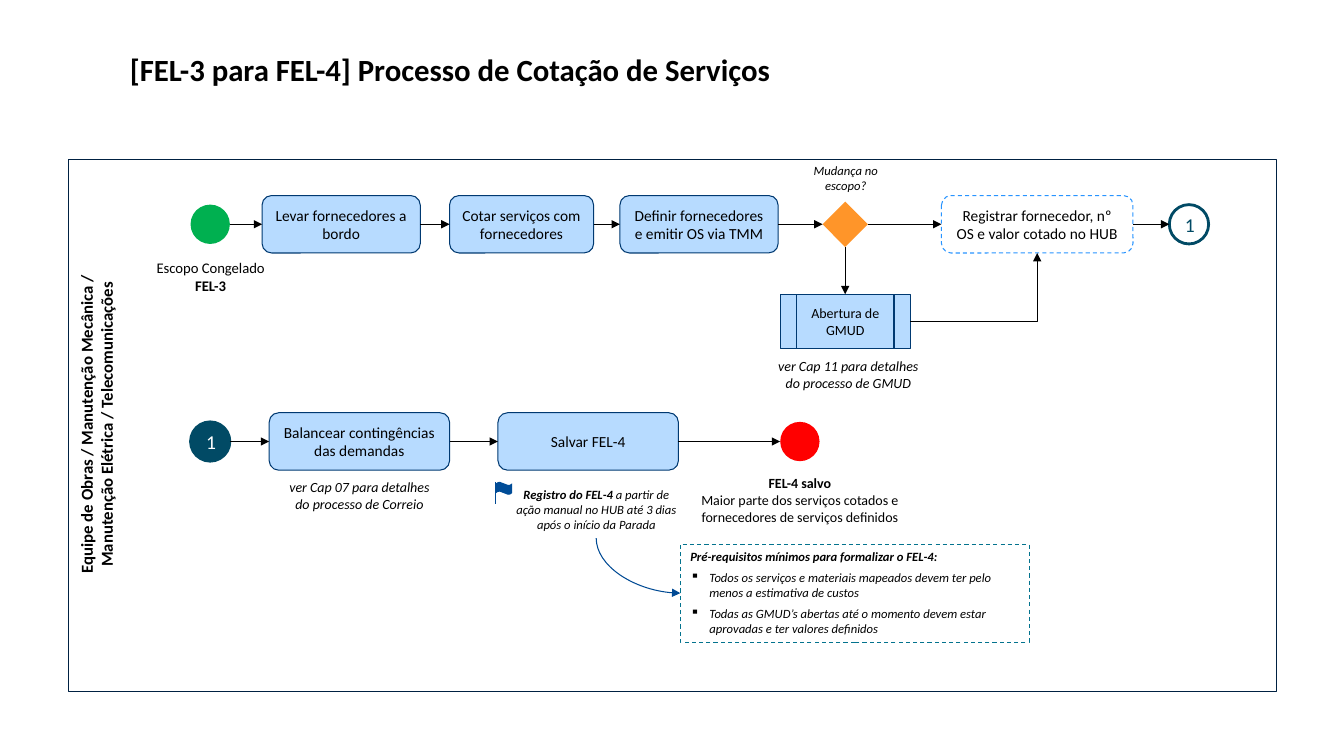
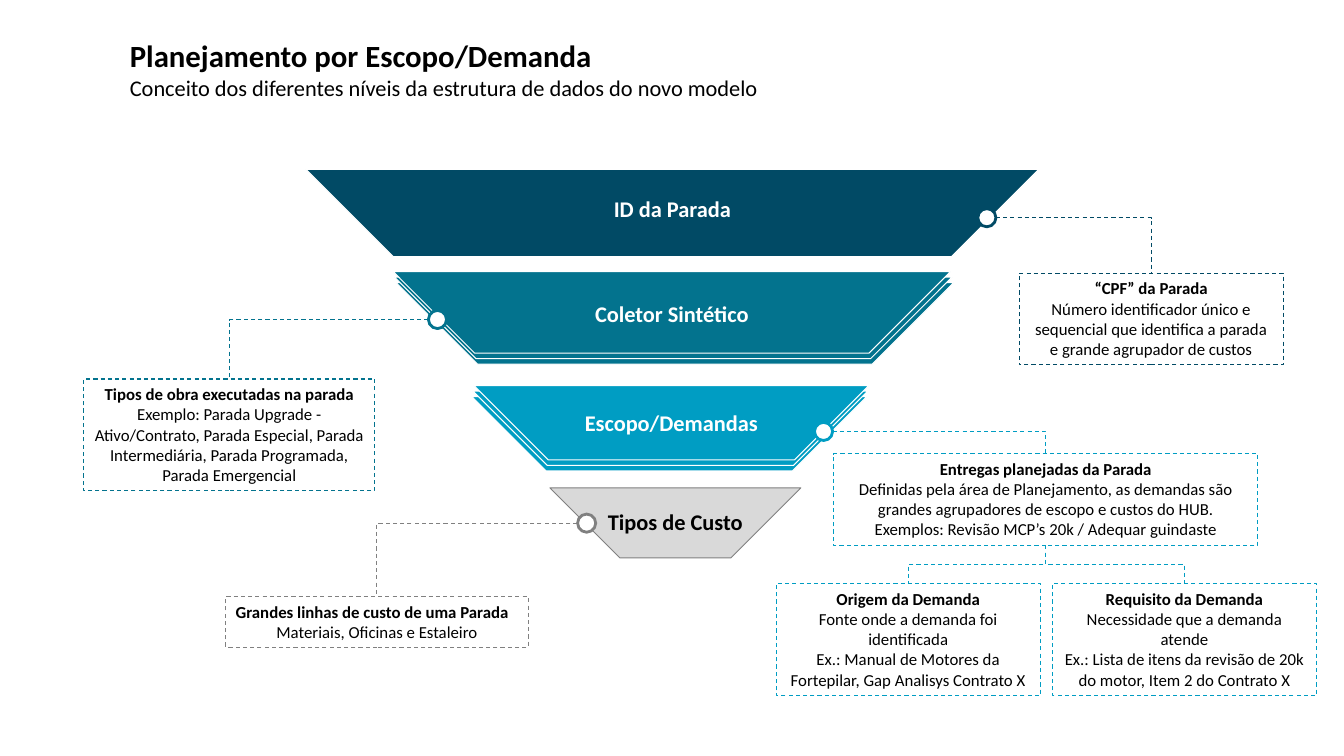
"""Builds two planning slides: a quotation process flow and a scope funnel."""
from dataclasses import dataclass

from lxml import etree
from pptx import Presentation
from pptx.dml.color import RGBColor
from pptx.enum.dml import MSO_LINE
from pptx.enum.shapes import MSO_CONNECTOR, MSO_SHAPE
from pptx.enum.text import MSO_ANCHOR, PP_ALIGN
from pptx.oxml.ns import qn
from pptx.util import Emu, Inches, Pt

RECT, ROUND, OVAL = MSO_SHAPE.RECTANGLE, MSO_SHAPE.ROUNDED_RECTANGLE, MSO_SHAPE.OVAL
DIAMOND, WAVE, STRIPE = MSO_SHAPE.DIAMOND, MSO_SHAPE.WAVE, MSO_SHAPE.DIAGONAL_STRIPE
SUBPROCESS = MSO_SHAPE.FLOWCHART_PREDEFINED_PROCESS
STRAIGHT, ELBOW, CURVE = MSO_CONNECTOR.STRAIGHT, MSO_CONNECTOR.ELBOW, MSO_CONNECTOR.CURVE
LEFT, CENTER = PP_ALIGN.LEFT, PP_ALIGN.CENTER
TOP, MIDDLE = MSO_ANCHOR.TOP, MSO_ANCHOR.MIDDLE
DASH = MSO_LINE.DASH
AT_TOP, AT_LEFT, AT_BOTTOM, AT_RIGHT = range(4)

CELL = Inches(0.1)
COLS, ROWS = 133.33, 75
FONT = "Calibri"
BLACK, WHITE = "000000", "FFFFFF"
NAVY, TEAL, CYAN, GRAY = "014A65", "03738E", "009DC3", "808080"
STEP_FILL, STEP_LINE, FLAG_BLUE = "B7DBFF", "003971", "004A94"


@dataclass(frozen=True)
class Style:
    """Look of the text in one box; ** in a line toggles bold."""
    size: float
    color: str = BLACK
    italic: bool = False
    align: PP_ALIGN = CENTER
    anchor: MSO_ANCHOR = TOP


@dataclass(frozen=True)
class Step:
    """Flow element, placed by its left column and middle row."""
    key: str
    kind: MSO_SHAPE
    x: float
    mid: float
    w: float
    h: float
    text: str = ""
    fill: str = STEP_FILL
    line: str = STEP_LINE
    width: float = 0.75
    dash: bool = False
    size: float = 11
    color: str = BLACK


@dataclass(frozen=True)
class Label:
    """Free text on the grid."""
    key: str
    x: float
    y: float
    w: float
    h: float
    lines: tuple
    style: Style


@dataclass(frozen=True)
class Tier:
    """Funnel level, placed by the middle of its square stripe."""
    text: str
    x: float
    y: float
    size: float
    adj: float
    fill: str
    label_y: float
    line: str = WHITE
    color: str = WHITE
    copies: int = 0
    drift: float = 0


@dataclass(frozen=True)
class Callout:
    """Dashed explanation box, with an optional marker on the funnel."""
    key: str
    x: float
    y: float
    w: float
    h: float
    color: str
    lines: tuple
    marker: tuple = ()
    side: int = AT_RIGHT


def u(n: float) -> Emu:
    """Turn grid cells into a length."""
    return Emu(round(n * CELL))


def rgb(color: str) -> RGBColor:
    """Turn a hex string into a colour."""
    return RGBColor.from_string(color)


def stroke(line, color: str, width: float = 0.75, dash: bool = False) -> None:
    """Style an outline or connector line."""
    line.color.rgb = rgb(color)
    line.width = Pt(width)
    if dash:
        line.dash_style = DASH


def write(tf, lines: tuple, style: Style) -> None:
    """Fill a text frame, one paragraph a line."""
    tf.word_wrap = True
    tf.vertical_anchor = style.anchor
    for i, line in enumerate(lines):
        p = tf.paragraphs[0] if i == 0 else tf.add_paragraph()
        p.alignment = style.align
        for j, part in enumerate(line.split("**")):
            if part:
                r = p.add_run()
                r.text = part
                f = r.font
                f.name, f.size, f.color.rgb = FONT, Pt(style.size), rgb(style.color)
                f.bold, f.italic = j % 2 == 1, style.italic


def shape(s, kind, x, y, w, h, fill="", line="", width=0.75, dash=False):
    """Draw a preset shape on the grid."""
    sp = s.shapes.add_shape(kind, u(x), u(y), u(w), u(h))
    sp.shadow.inherit = False
    if fill:
        sp.fill.solid()
        sp.fill.fore_color.rgb = rgb(fill)
    else:
        sp.fill.background()
    if line:
        stroke(sp.line, line, width, dash)
    else:
        sp.line.fill.background()
    return sp


def text(s, label: Label):
    """Draw a text box."""
    sp = s.shapes.add_textbox(u(label.x), u(label.y), u(label.w), u(label.h))
    write(sp.text_frame, label.lines, label.style)
    return sp


def title(s, heading: str, sub: str = "") -> None:
    """Draw the slide title with an optional second line."""
    tf = s.shapes.add_textbox(u(11.9), u(3.3), u(114.7), u(7.1)).text_frame
    tf.word_wrap, tf.vertical_anchor = True, MIDDLE
    p = tf.paragraphs[0]
    p.text = f"{heading}\v{sub}" if sub else heading
    for r, size, bold in zip(p.runs, (22, 16), (True, False)):
        r.font.name, r.font.size, r.font.bold = FONT, Pt(size), bold
        r.font.color.rgb = rgb(BLACK)


def connector(s, kind, points=(0, 0, 0, 0), color=BLACK, dash=False, arrow=""):
    """Draw a connector without shadow; arrow is headEnd or tailEnd."""
    c = s.shapes.add_connector(kind, *(u(n) for n in points))
    stroke(c.line, color, dash=dash)
    if arrow:
        etree.SubElement(c.element.spPr.find(qn("a:ln")), qn(f"a:{arrow}"), type="triangle")
    etree.SubElement(c.element.spPr, qn("a:effectLst"))
    return c


def link(s, a, a_side, b, b_side, kind=STRAIGHT, color=BLACK, dash=False, arrow=""):
    """Join two shapes; an ellipse has eight sites, so its sides are every second one."""
    c = connector(s, kind, color=color, dash=dash, arrow=arrow)
    c.begin_connect(a, a_side)
    c.end_connect(b, b_side)
    for sp, side, tag in ((a, a_side, "stCxn"), (b, b_side, "endCxn")):
        if sp.element.xpath(".//a:prstGeom/@prst")[0] == "ellipse":
            c.element.xpath(f".//a:{tag}")[0].set("idx", str(side * 2))
    return c


def corner(s, a, a_side, b, b_side, kind=ELBOW, **look) -> None:
    """Join two shapes with a single bend, leaving the first one sideways."""
    c = link(s, a, a_side, b, b_side, kind, **look)
    name = "curvedConnector2" if kind == CURVE else "bentConnector2"
    c.element.spPr.find(qn("a:prstGeom")).set("prst", name)


def branch(s, parent, child, color: str) -> None:
    """Join a parent's bottom to a child's top with a turned elbow."""
    c = link(s, parent, AT_BOTTOM, child, AT_TOP, ELBOW, color, True)
    xfrm = c.element.spPr.find(qn("a:xfrm"))
    to_right = c.end_x > c.begin_x
    left, top, w, h = c.left, c.top, c.width, c.height
    c.left, c.top = Emu(left + (w - h) // 2), Emu(top + (h - w) // 2)
    c.width, c.height = h, w
    xfrm.attrib.pop("flipH", None)
    xfrm.set("rot", "5400000" if not to_right else "16200000")
    if to_right:
        xfrm.set("flipH", "1")


ROW_1, ROW_2 = 22.25, 43.8
STEPS = (
    Step("start", OVAL, 18.9, ROW_1, 3.9, 3.9, fill="00B050", line=""),
    Step("levar", ROUND, 26, ROW_1, 15.7, 5.7, "Levar fornecedores a bordo"),
    Step("cotar", ROUND, 44.6, ROW_1, 14.3, 5.7, "Cotar serviços com fornecedores"),
    Step("definir", ROUND, 61.5, ROW_1, 15.7, 5.7, "Definir fornecedores e emitir OS via TMM"),
    Step("mudanca", DIAMOND, 81.6, ROW_1, 4.5, 4.5, fill="FF9529", line=""),
    Step("registrar", ROUND, 93.4, ROW_1, 19, 5.7,
         "Registrar fornecedor, nº OS e valor cotado no HUB", WHITE, "2894FF", dash=True),
    Step("saida", OVAL, 116, ROW_1, 3.9, 3.9, "1", WHITE, NAVY, 2, size=14, color=NAVY),
    Step("gmud", SUBPROCESS, 77.4, 31.9, 12.9, 5.4, "Abertura de GMUD", size=10),
    Step("entrada", OVAL, 18.9, ROW_2, 3.9, 3.9, "1", NAVY, NAVY, 2, size=14, color=WHITE),
    Step("balancear", ROUND, 26.7, ROW_2, 17.9, 5.7, "Balancear contingências das demandas"),
    Step("salvar", ROUND, 49.4, ROW_2, 17.9, 5.7, "Salvar FEL-4"),
    Step("fim", OVAL, 77.4, ROW_2, 3.9, 3.9, fill="FF0000", line=""),
)
CHAINS = (("start", "levar", "cotar", "definir", "mudanca", "registrar", "saida"),
          ("entrada", "balancear", "salvar", "fim"))
NOTE, SMALL_NOTE = Style(10, italic=True), Style(9, italic=True)
LABELS = (
    Label("start", 13.9, 25.2, 14, 4.5, ("Escopo Congelado", "**FEL-3**"), Style(10.5)),
    Label("mudanca", 77.8, 15.7, 12.2, 4, ("Mudança no escopo?",), SMALL_NOTE),
    Label("fim", 68.1, 46.6, 22.5, 6.1, ("**FEL-4 salvo**",
          "Maior parte dos serviços cotados e fornecedores de serviços definidos"), Style(10)),
    Label("registro", 49.9, 47.8, 18.5, 5.6, (
        "**Registro do FEL-4 **a partir de ação manual no HUB até 3 dias após o início da Parada",
    ), SMALL_NOTE),
    Label("cap07", 27.4, 47, 16.5, 4.4, ("ver Cap 07 para detalhes do processo de Correio",), NOTE),
    Label("cap11", 75.7, 35, 16.9, 4.4, ("ver Cap 11 para detalhes do processo de GMUD",), NOTE),
)
REQUISITES = (
    "**Pré-requisitos mínimos para formalizar o FEL-4:**",
    "Todos os serviços e materiais mapeados devem ter pelo menos a estimativa de custos",
    "Todas as GMUD’s abertas até o momento devem estar aprovadas e ter valores definidos",
)
TIERS = (
    Tier("ID da Parada", 66.7, 16.8, 51.4, 0.762, NAVY, 18.9),
    Tier("Coletor Sintético", 66.65, 26.95, 39.1, 0.708, TEAL, 29.3, copies=2, drift=0.15),
    Tier("Escopo/Demandas", 66.6, 38.25, 27.7, 0.624, CYAN, 40.1, copies=2, drift=-0.1),
    Tier("Tipos de Custo", 67, 48.4, 17.6, 0.443, "D9D9D9", 49.9, GRAY, BLACK),
)
CALLOUTS = (
    Callout("cpf", 101.1, 27.1, 26.2, 9.1, NAVY, ("**“CPF” da Parada**",
            "Número identificador único e sequencial que identifica a parada e grande "
            "agrupador de custos"), (97, 20.7)),
    Callout("obra", 8.3, 37.6, 28.9, 11.1, TEAL, ("**Tipos de obra executadas na parada**",
            "Exemplo: Parada Upgrade - Ativo/Contrato, Parada Especial, Parada "
            "Intermediária, Parada Programada, Parada Emergencial"), (42.5, 30.8), AT_LEFT),
    Callout("entregas", 82.7, 45, 42.1, 9.1, CYAN, ("**Entregas planejadas da Parada**",
            "Definidas pela área de Planejamento, as demandas são grandes agrupadores "
            "de escopo e custos do HUB.",
            "Exemplos: Revisão MCP’s 20k / Adequar guindaste"), (80.8, 41.9)),
    Callout("custo", 22.4, 59.2, 30, 5, GRAY, ("**Grandes linhas de custo de uma Parada**",
            "Materiais, Oficinas e Estaleiro"), (57.3, 51), AT_LEFT),
    Callout("origem", 77, 57.9, 26.2, 11.1, CYAN, ("**Origem da Demanda**",
            "Fonte onde a demanda foi identificada",
            "Ex.: Manual de Motores da Fortepilar, Gap Analisys Contrato X")),
    Callout("requisito", 104.4, 57.9, 26.2, 11.1, CYAN, ("**Requisito da Demanda**",
            "Necessidade que a demanda atende",
            "Ex.: Lista de itens da revisão de 20k do motor, Item 2 do Contrato X")),
)


def requisites(s):
    """Draw the dashed box with the bulleted minimum requirements."""
    sp = shape(s, RECT, 67.5, 54, 34.6, 9.7, line=TEAL, dash=True)
    write(sp.text_frame, REQUISITES, Style(9, italic=True, align=LEFT))
    for p in sp.text_frame.paragraphs[1:]:
        pPr = p._p.get_or_add_pPr()
        pPr.set("marL", str(u(1.9)))
        pPr.set("indent", str(-u(1.9)))
        etree.SubElement(pPr, qn("a:buChar"), char="▪")
        p.space_before = Pt(4)
    return sp


def flow_slide(s) -> None:
    """Draw the quotation process."""
    shape(s, RECT, 6.8, 15.8, 119.8, 52.8, line="002142")
    title(s, "[FEL-3 para FEL-4] Processo de Cotação de Serviços")
    text(s, Label("equipe", -7, 39.6, 33.1, 5, (
        "**Equipe de Obras / Manutenção Mecânica / Manutenção Elétrica / Telecomunicações**",
    ), Style(12))).rotation = 270
    steps = {}
    for n in STEPS:
        sp = shape(s, n.kind, n.x, n.mid - n.h / 2, n.w, n.h, n.fill, n.line, n.width, n.dash)
        if n.text:
            write(sp.text_frame, (n.text,), Style(n.size, n.color, anchor=MIDDLE))
        steps[n.key] = sp
    for chain in CHAINS:
        for a, b in zip(chain, chain[1:]):
            link(s, steps[a], AT_RIGHT, steps[b], AT_LEFT, arrow="tailEnd")
    link(s, steps["mudanca"], AT_BOTTOM, steps["gmud"], AT_TOP, arrow="tailEnd")
    corner(s, steps["gmud"], AT_RIGHT, steps["registrar"], AT_BOTTOM, arrow="tailEnd")
    labels = {n.key: text(s, n) for n in LABELS}
    corner(s, requisites(s), AT_LEFT, labels["registro"], AT_BOTTOM, CURVE,
           color=FLAG_BLUE, arrow="headEnd")
    flag = s.shapes.add_group_shape()
    shape(flag, WAVE, 49.2, 47.8, 1.6, 1.3, "004C97")
    connector(flag, STRAIGHT, (49.2, 47.8, 49.2, 50), FLAG_BLUE)


def funnel_slide(s) -> None:
    """Draw the data levels and their explanations."""
    title(s, "Planejamento por Escopo/Demanda",
          "Conceito dos diferentes níveis da estrutura de dados do novo modelo")
    for t in TIERS:
        for i in range(t.copies, -1, -1):
            sp = shape(s, STRIPE, t.x + i * t.drift - t.size / 2,
                       t.y + i * 0.55 - t.size / 2, t.size, t.size, t.fill, t.line)
            sp.adjustments[0] = t.adj
            sp.rotation = 225
        text(s, Label(t.text, t.x - 18.9, t.label_y, 37.8, 3.7, (f"**{t.text}**",),
                      Style(16, t.color)))
    boxes = {}
    for c in CALLOUTS:
        sp = boxes[c.key] = shape(s, RECT, c.x, c.y, c.w, c.h, line=c.color, dash=True)
        write(sp.text_frame, c.lines, Style(12))
        if c.marker:
            dot = shape(s, OVAL, *c.marker, 1.8, 1.8, WHITE, c.color, 2)
            corner(s, dot, c.side, sp, AT_TOP, color=c.color, dash=True)
    boxes["custo"].text_frame.paragraphs[0].alignment = LEFT
    for key in ("origem", "requisito"):
        branch(s, boxes["entregas"], boxes[key], CYAN)


def main() -> None:
    """Build and save the presentation."""
    prs = Presentation()
    prs.slide_width, prs.slide_height = u(COLS), u(ROWS)
    for draw in (flow_slide, funnel_slide):
        draw(prs.slides.add_slide(prs.slide_layouts[6]))
    prs.save("out.pptx")


if __name__ == "__main__":
    main()
